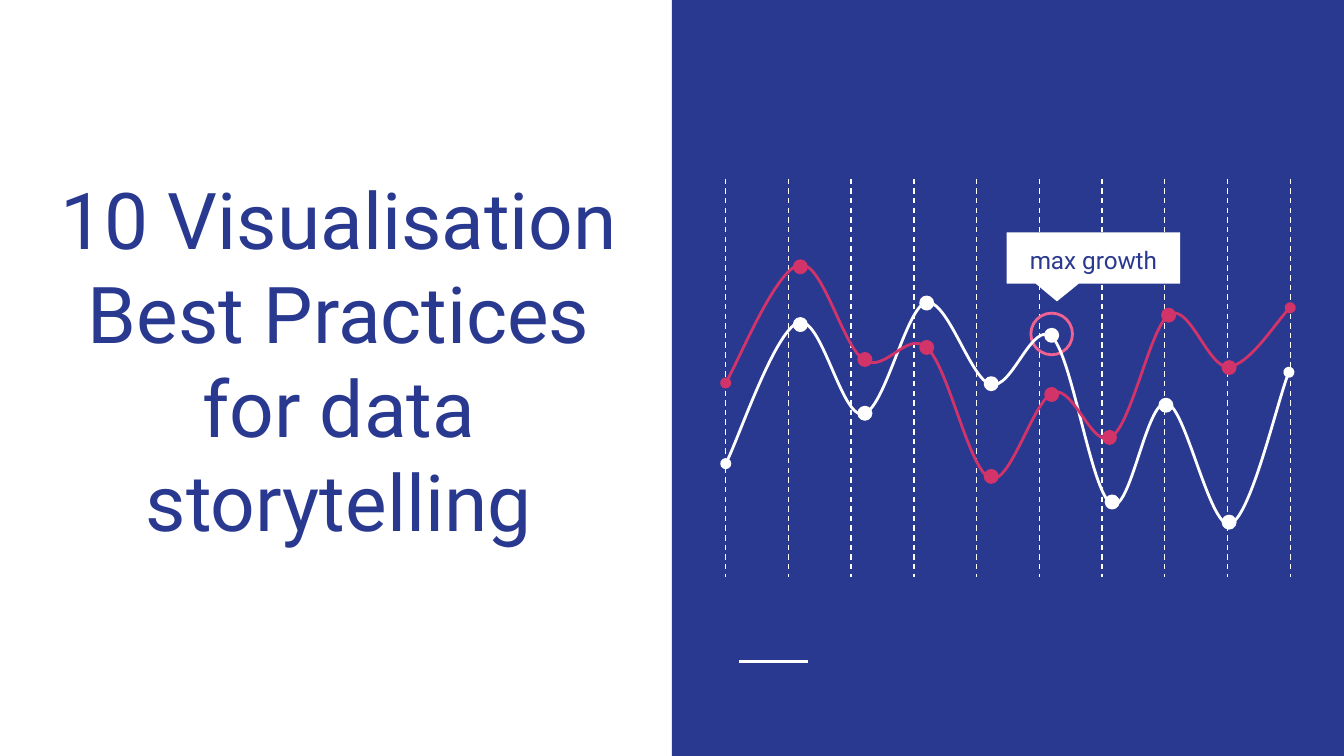
from lxml import etree
from pptx import Presentation
from pptx.dml.color import RGBColor
from pptx.enum.dml import MSO_LINE
from pptx.enum.shapes import MSO_CONNECTOR, MSO_SHAPE
from pptx.enum.text import MSO_ANCHOR, PP_ALIGN
from pptx.oxml.ns import qn
from pptx.util import Inches, Pt

RECTANGLE = MSO_SHAPE.RECTANGLE
OVAL = MSO_SHAPE.OVAL
CALLOUT = MSO_SHAPE.ROUNDED_RECTANGULAR_CALLOUT
STRAIGHT = MSO_CONNECTOR.STRAIGHT
DASH = MSO_LINE.DASH
CENTER = PP_ALIGN.CENTER
MIDDLE, BOTTOM = MSO_ANCHOR.MIDDLE, MSO_ANCHOR.BOTTOM

FONT = "Roboto"
COLORS = {"navy": "2A3990", "white": "FFFFFF", "crimson": "D23369", "pink": "F06292"}
STROKE = 1.5
MARKER_SIZE = 0.09

SLIDE_WIDTH = 10
SLIDE_HEIGHT = SLIDE_WIDTH * 9 / 16

GRID_LEFT, GRID_RIGHT, GRID_TOP, GRID_BOTTOM = 5.4, 9.6, 1.33, 4.29
GRID_LINES = 10

# Each curve is a start point, then two control points and an end point per segment.
WHITE_CURVE = [
    (5.4, 3.45),
    (5.49, 3.28), (5.77, 2.46), (5.94, 2.4),
    (6.11, 2.34), (6.26, 3.11), (6.42, 3.08),
    (6.58, 3.06), (6.74, 2.29), (6.89, 2.25),
    (7.05, 2.22), (7.22, 2.82), (7.37, 2.86),
    (7.53, 2.91), (7.68, 2.37), (7.83, 2.51),
    (7.98, 2.66), (8.12, 3.67), (8.27, 3.75),
    (8.41, 3.83), (8.53, 2.97), (8.68, 3),
    (8.82, 3.02), (9, 3.93), (9.15, 3.9),
    (9.3, 3.86), (9.51, 2.96), (9.59, 2.77),
]
CRIMSON_CURVE = [
    (5.4, 2.85),
    (5.49, 2.7), (5.78, 2), (5.95, 1.97),
    (6.12, 1.94), (6.27, 2.58), (6.43, 2.68),
    (6.59, 2.78), (6.75, 2.45), (6.9, 2.59),
    (7.06, 2.74), (7.21, 3.5), (7.37, 3.56),
    (7.52, 3.61), (7.69, 2.97), (7.84, 2.92),
    (7.99, 2.87), (8.13, 3.35), (8.27, 3.25),
    (8.42, 3.16), (8.56, 2.43), (8.7, 2.34),
    (8.85, 2.25), (8.99, 2.74), (9.14, 2.73),
    (9.29, 2.72), (9.52, 2.36), (9.6, 2.29),
]
# Top left corners of the markers
WHITE_MARKERS = [
    (5.91, 2.37), (6.39, 3.03), (6.85, 2.21), (7.33, 2.81),
    (7.78, 2.45), (8.23, 3.69), (8.63, 2.97), (9.1, 3.84),
]
CRIMSON_MARKERS = [
    (5.91, 1.94), (6.39, 2.63), (6.85, 2.54), (7.33, 3.5),
    (7.78, 2.89), (8.21, 3.21), (8.65, 2.3), (9.1, 2.69),
]


class SlideBuilder:
    def __init__(self, slide):
        self.slide = slide
        self.shapes = slide.shapes

    def color(self, name):
        return RGBColor.from_string(COLORS[name])

    def paint(self, shape, fill=None, line=None):
        shape.shadow.inherit = False
        if fill:
            shape.fill.solid()
            shape.fill.fore_color.rgb = self.color(fill)
        else:
            shape.fill.background()
        if line:
            shape.line.color.rgb = self.color(line)
            shape.line.width = Pt(STROKE)
        else:
            shape.line.fill.background()

    def shape(self, kind, left, top, width, height, fill=None, line=None):
        shape = self.shapes.add_shape(
            kind, Inches(left), Inches(top), Inches(width), Inches(height))
        self.paint(shape, fill, line)
        return shape

    def line(self, start, end, width, dash=None):
        connector = self.shapes.add_connector(
            STRAIGHT, *(Inches(value) for value in (*start, *end)))
        connector.line.color.rgb = self.color("white")
        connector.line.width = Pt(width)
        if dash:
            connector.line.dash_style = dash
        etree.SubElement(connector._element.spPr, qn("a:effectLst"))

    def curve(self, points, color):
        """Draw a cubic Bezier line with round ends."""
        corners = [(Inches(x), Inches(y)) for x, y in points]
        builder = self.shapes.build_freeform(*corners[0])
        builder.add_line_segments(corners[1:], close=False)
        curve = builder.convert_to_shape()
        self.paint(curve, line=color)

        properties = curve._element.spPr
        path = properties.find(".//" + qn("a:path"))
        path.set("fill", "none")
        segments = path.findall(qn("a:lnTo"))
        for first in range(0, len(segments), 3):
            bezier = etree.SubElement(path, qn("a:cubicBezTo"))
            for segment in segments[first:first + 3]:
                bezier.append(segment[0])
                path.remove(segment)
        outline = properties.find(qn("a:ln"))
        for end in ("a:headEnd", "a:tailEnd"):
            etree.SubElement(outline, qn(end), type="oval")

    def series(self, points, markers, color):
        self.curve(points, color)
        for left, top in markers:
            self.shape(OVAL, left, top, MARKER_SIZE, MARKER_SIZE, color, color)

    def text(self, paragraphs, left, top, width, height, size, anchor, spacing=None):
        frame = self.shapes.add_textbox(
            Inches(left), Inches(top), Inches(width), Inches(height)).text_frame
        frame.word_wrap = True
        frame.vertical_anchor = anchor
        frame.margin_left = frame.margin_right = Inches(0.1)
        frame.margin_top = frame.margin_bottom = Inches(0.1)
        frame.text = "\n".join(paragraphs)
        for paragraph in frame.paragraphs:
            paragraph.alignment = CENTER
            paragraph.line_spacing = spacing
            paragraph.font.name = FONT
            paragraph.font.size = Pt(size)
            paragraph.font.color.rgb = self.color("navy")


def main():
    presentation = Presentation()
    presentation.slide_width = Inches(SLIDE_WIDTH)
    presentation.slide_height = Inches(SLIDE_HEIGHT)
    blank = presentation.slide_layouts[6]
    builder = SlideBuilder(presentation.slides.add_slide(blank))

    half = SLIDE_WIDTH / 2
    builder.shape(RECTANGLE, half, 0, half, SLIDE_HEIGHT, "navy")
    builder.line((5.5, 4.92), (6.01, 4.92), STROKE)
    builder.text(["10 Visualisation Best Practices", "for data storytelling"],
                 0.3, 0.93, 4.44, 3.24, 42, BOTTOM)

    grid_step = (GRID_RIGHT - GRID_LEFT) / (GRID_LINES - 1)
    for index in range(GRID_LINES):
        x = GRID_LEFT + index * grid_step
        builder.line((x, GRID_TOP), (x, GRID_BOTTOM), 0.75, DASH)

    builder.shape(OVAL, 7.67, 2.33, 0.31, 0.31, line="pink")
    builder.series(WHITE_CURVE, WHITE_MARKERS, "white")

    callout = builder.shape(CALLOUT, 7.49, 1.73, 1.29, 0.38, "white")
    for index, adjustment in enumerate((-0.21, 0.85, 0)):
        callout.adjustments[index] = adjustment

    builder.series(CRIMSON_CURVE, CRIMSON_MARKERS, "crimson")
    builder.text(["max growth"], 7.49, 1.76, 1.29, 0.31, 13, MIDDLE, 1.15)

    presentation.save("out.pptx")


if __name__ == "__main__":
    main()
